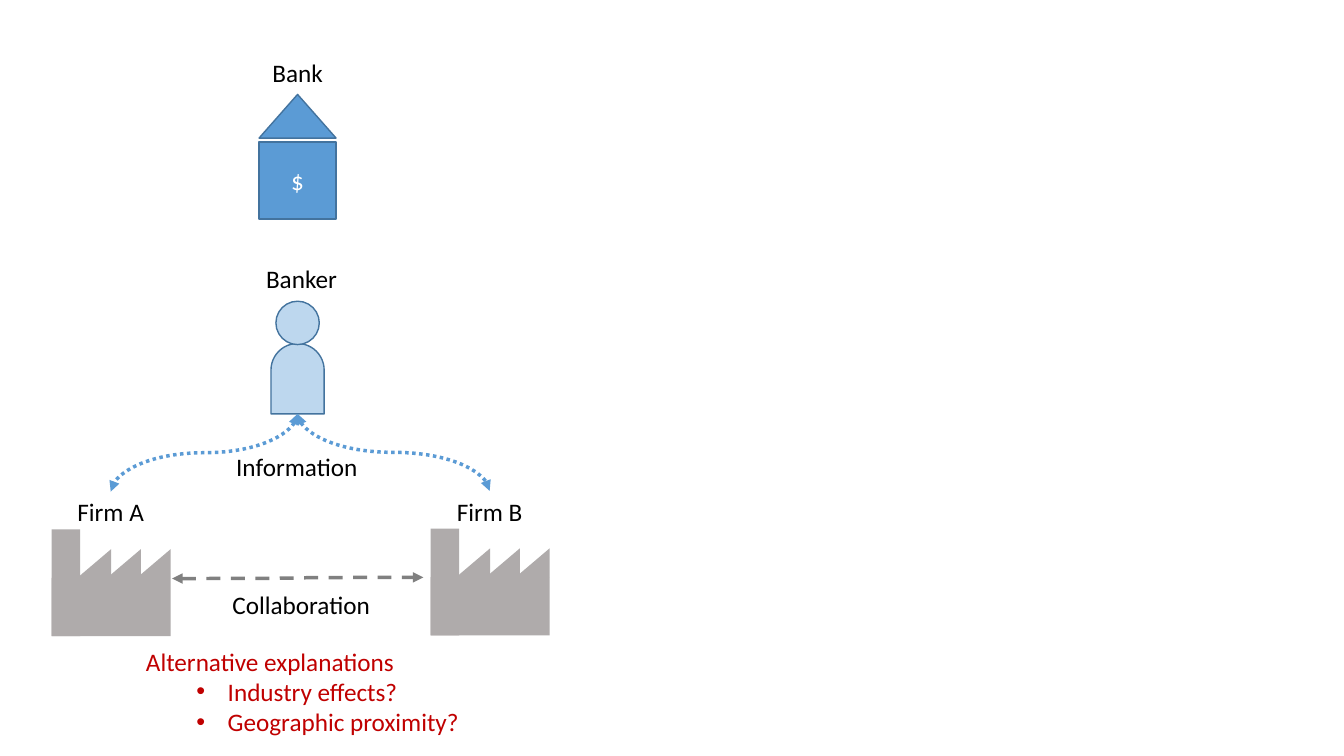
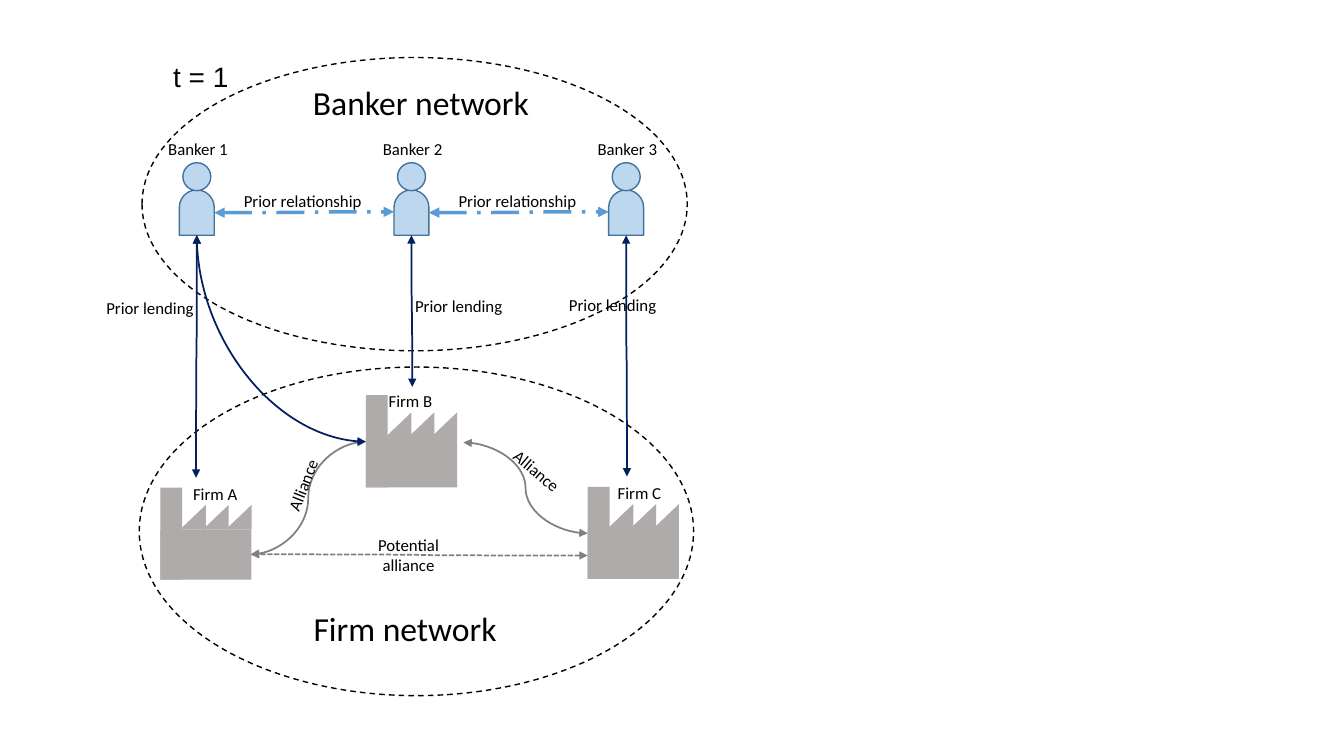
import pptx
import pptx.util
import pptx.dml.color
import pptx.enum.dml
import pptx.enum.shapes
import pptx.enum.text
import pptx.oxml
import pptx.oxml.ns

Cm = pptx.util.Cm
Pt = pptx.util.Pt
SHAPE = pptx.enum.shapes.MSO_SHAPE
DASH = pptx.enum.dml.MSO_LINE
ALIGN = pptx.enum.text.PP_ALIGN

COLORS = {
    "text": "000000",
    "white": "FFFFFF",
    "alert": "C00000",
    "blue": "5B9BD5",
    "pale": "BDD7EE",
    "edge": "43739E",
    "navy": "002060",
    "gray": "808080",
    "factory": "AFABAB",
}


def color(name):
    """Return the named colour."""
    return pptx.dml.color.RGBColor.from_string(COLORS[name])


def add_xml(parent, tag, **attributes):
    """Append a drawing element with the given attributes."""
    child = pptx.oxml.parse_xml(f"<a:{tag} {pptx.oxml.ns.nsdecls('a')}/>")
    for key, value in attributes.items():
        child.set(key, value)
    parent.append(child)


def add_figure(shapes, kind, left, top, width, height, fill=None, edge=None):
    """Add a preset shape with an optional fill and edge."""
    figure = shapes.add_shape(kind, Cm(left), Cm(top), Cm(width), Cm(height))
    figure.shadow.inherit = False
    if fill:
        figure.fill.solid()
        figure.fill.fore_color.rgb = color(fill)
    else:
        figure.fill.background()
    if edge:
        figure.line.color.rgb = color(edge)
        figure.line.width = Pt(1)
    else:
        figure.line.fill.background()
    return figure


def format_text(frame, size, ink="text", font="Calibri", align=ALIGN.CENTER):
    """Format every paragraph and run of a text frame."""
    for para in frame.paragraphs:
        para.alignment = align
        for span in para.runs:
            span.font.size = Pt(size)
            span.font.name = font
            span.font.color.rgb = color(ink)


def add_label(page, text, left, top, width, size, height=None, turn=0, **style):
    """Add a wrapped text box that grows with its text."""
    height = height or size * 0.043 + 0.25
    box = page.shapes.add_textbox(Cm(left), Cm(top), Cm(width), Cm(height))
    box.rotation = turn
    frame = box.text_frame
    frame.word_wrap = True
    frame.auto_size = pptx.enum.text.MSO_AUTO_SIZE.SHAPE_TO_FIT_TEXT
    frame.text = text
    format_text(frame, size, **style)
    return box


def add_curve(page, start, end, ink, weight, dash=None, upright=False, bend=3):
    """Add a curved double arrow; an upright one leaves its start downwards."""
    (x1, y1), (x2, y2) = start, end
    if upright:
        middle_x, middle_y = (x1 + x2) / 2, (y1 + y2) / 2
        half_x, half_y = (y2 - y1) / 2, (x1 - x2) / 2
        x1, x2 = middle_x - half_x, middle_x + half_x
        y1, y2 = middle_y - half_y, middle_y + half_y
    curve = page.shapes.add_connector(
        pptx.enum.shapes.MSO_CONNECTOR.CURVE, Cm(x1), Cm(y1), Cm(x2), Cm(y2))
    curve.line.color.rgb = color(ink)
    curve.line.width = Pt(weight)
    if dash:
        curve.line.dash_style = dash
    outline = curve.line._get_or_add_ln()
    add_xml(outline, "headEnd", type="triangle")
    add_xml(outline, "tailEnd", type="triangle")
    properties = curve._element.spPr
    add_xml(properties, "effectLst")
    properties.find(pptx.oxml.ns.qn("a:prstGeom")).set("prst", f"curvedConnector{bend}")
    if upright:
        properties.find(pptx.oxml.ns.qn("a:xfrm")).set("rot", "5400000")


def add_factory(page, left, top, width, height):
    """Draw a factory with a chimney and a saw-tooth roof."""
    shapes = page.shapes.add_group_shape().shapes
    add_figure(shapes, SHAPE.RECTANGLE, left, top + 0.455 * height,
               width, 0.545 * height, "factory")
    add_figure(shapes, SHAPE.RECTANGLE, left, top, 0.24 * width, height, "factory")
    across, rise = 0.285 * width, 0.27 * height
    center_y = top + 0.185 * height + rise / 2
    for index in range(3):
        center_x = left + (0.215 + 0.25 * index) * width + across / 2
        tooth = add_figure(shapes, SHAPE.RIGHT_TRIANGLE, center_x - rise / 2,
                           center_y - across / 2, rise, across, "factory")
        tooth.rotation = 270


def add_person(page, left, top, width, height):
    """Draw a person and return the point below the feet."""
    shapes = page.shapes.add_group_shape().shapes
    body = add_figure(shapes, SHAPE.ROUND_2_SAME_RECTANGLE, left, top + 0.375 * height,
                      width, 0.625 * height, "pale", "edge")
    body.adjustments[0] = 0.5
    head = 0.385 * height
    add_figure(shapes, SHAPE.FLOWCHART_CONNECTOR, left + (width - head) / 2, top,
               head, head, "pale", "edge")
    return left + width / 2, top + height


def add_bank(page, left, top, width):
    """Draw a bank with its roof and label."""
    add_figure(page.shapes, SHAPE.ISOSCELES_TRIANGLE, left, top, width, 1.1, "blue", "edge")
    house = add_figure(page.shapes, SHAPE.RECTANGLE, left, top + 1.2,
                       width, width, "blue", "edge")
    house.text_frame.text = "$"
    house.text_frame.vertical_anchor = pptx.enum.text.MSO_ANCHOR.MIDDLE
    format_text(house.text_frame, 18, "white")
    add_label(page, "Bank", left + width / 2 - 1.5, top - 1.06, 3, 18)


def add_explanations(page, left, top, width):
    """List the alternative explanations with two bullets."""
    box = add_label(page, "Alternative explanations\nIndustry effects?\nGeographic proximity?",
                    left, top, width, 18, height=2.57, ink="alert", align=ALIGN.LEFT)
    for para in box.text_frame.paragraphs[1:]:
        para.level = 1
        properties = para._p.get_or_add_pPr()
        properties.set("marL", str(Cm(2.06)))
        properties.set("indent", str(Cm(-0.79)))
        add_xml(properties, "buFont", typeface="Arial")
        add_xml(properties, "buChar", char="•")


def build_information_slide(page, left, top):
    """Show one banker passing information between two firms."""
    add_bank(page, left + 5.23, top + 1.06, 1.94)
    add_label(page, "Banker", left + 4.8, top + 5.18, 3, 18)
    feet = add_person(page, left + 5.53, top + 6.27, 1.34, 2.84)
    for name, x, y in (("Firm A", left, top + 12.02), ("Firm B", left + 9.55, top + 12)):
        add_factory(page, x, y, 3, 2.69)
        add_label(page, name, x - 0.51, y - 0.95, 4, 18)
        add_curve(page, feet, (x + 1.49, y - 0.95), "blue", 2.5,
                  DASH.ROUND_DOT, upright=True)
    add_label(page, "Information", left + 4.34, top + 9.93, 3.68, 18)
    add_curve(page, (left + 3.04, top + 13.26), (left + 9.37, top + 13.23),
              "gray", 2.5, DASH.DASH)
    add_label(page, "Collaboration", left + 3.65, top + 13.41, 5.28, 18)
    add_explanations(page, left + 2.13, top + 14.83, 9.55)


def add_network(page, left, top, width, height):
    """Draw the dashed outline of a network."""
    ring = add_figure(page.shapes, SHAPE.OVAL, left, top, width, height, edge="text")
    ring.line.dash_style = DASH.DASH


def add_banker_network(page, left, top, width, height):
    """Draw three related bankers and return the points below their feet."""
    add_network(page, left, top, width, height)
    add_label(page, "Banker network", left + 3.51, top + 0.48, 7.04, 24)
    feet = []
    step = 5.41
    for index in range(3):
        x, y = left + 0.94 + step * index, top + 2.65
        feet.append(add_person(page, x, y, 0.88, 1.83))
        add_label(page, f"Banker {index + 1}", x - 0.61, y - 0.73, 2.16, 12)
        if index < 2:
            add_curve(page, (x + 0.88, y + 1.26), (x + step, y + 1.24),
                      "blue", 2.5, DASH.LONG_DASH_DOT)
            add_label(page, "Prior relationship", x + 0.43, y + 0.58, 5.36, 12)
    return feet


def add_firm_network(page, left, top, width, height):
    """Draw three firms with their alliances."""
    add_network(page, left, top, width, height)
    for name, x, y, shift in (("Firm A", 0.53, 3.04, -0.15), ("Firm B", 5.71, 0.71, -0.41),
                              ("Firm C", 11.3, 3.02, -0.23)):
        add_factory(page, left + x, top + y, 2.3, 2.32)
        add_label(page, name, left + x + shift, top + y - 0.23, 3.07, 12)
    add_label(page, "Firm network", left + 3.45, top + 5.94, 6.5, 24)
    add_curve(page, (left + 5.71, top + 1.88), (left + 2.81, top + 4.72), "gray", 1.25)
    add_label(page, "Alliance", left + 2.87, top + 2.59, 2.51, 12, turn=291.4)
    add_curve(page, (left + 8.17, top + 1.9), (left + 11.3, top + 4.19), "gray", 1.25)
    add_label(page, "Alliance", left + 8.76, top + 2.23, 2.51, 12, turn=40.1)
    add_curve(page, (left + 11.3, top + 4.75), (left + 2.81, top + 4.72),
              "gray", 1.25, DASH.SQUARE_DOT)
    add_label(page, "Potential alliance", left + 5.53, top + 4.09, 2.51, 12, height=1.27)


def build_network_slide(page, left, top):
    """Link the banker network to the firm network by prior lending."""
    feet = add_banker_network(page, left + 0.07, top, 13.74, 7.39)
    add_firm_network(page, left, top + 7.8, 13.97, 8.28)
    lending = ((-0.02, 6.11, -3.82, 1.44), (0.02, 3.82, -1.45, 1.41), (0.02, 6.08, -2.98, 1.36))
    for (x, y), (drift, drop, label_x, label_y) in zip(feet, lending):
        add_curve(page, (x, y), (x + drift, y + drop), "navy", 1.25, upright=True)
        add_label(page, "Prior lending", x + label_x, y + label_y, 5.28, 12)
    add_curve(page, (left + 5.71, top + 9.68), feet[0], "navy", 1.25, bend=2)
    add_label(page, "t = 1", left, top - 0.08, 3.1, 20, font="Arial")


deck = pptx.Presentation()
deck.slide_width = Cm(33.87)
deck.slide_height = Cm(19.05)
blank = deck.slide_layouts[6]
build_information_slide(deck.slides.add_slide(blank), 1.3, 1.32)
build_network_slide(deck.slides.add_slide(blank), 3.51, 1.45)
deck.save("out.pptx")
